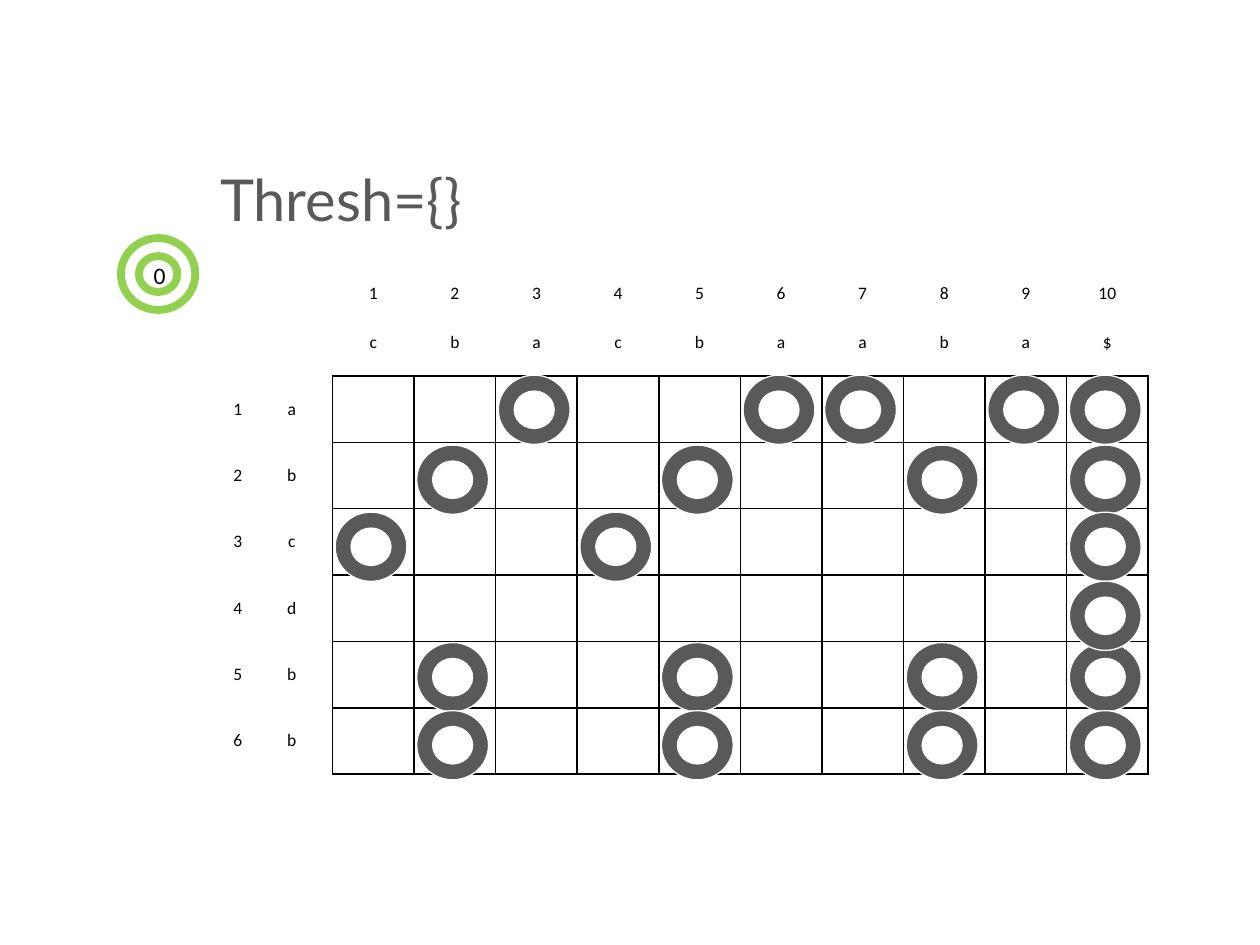
"""Build the match grid slide with its empty threshold list."""
from lxml.etree import SubElement
from pptx import Presentation
from pptx.dml.color import RGBColor as RGB
from pptx.enum.shapes import MSO_SHAPE as Shape
from pptx.enum.text import MSO_ANCHOR as Anchor, PP_ALIGN as Align
from pptx.oxml.ns import qn
from pptx.util import Inches, Pt

INK = {"black": "000000", "white": "FFFFFF", "gray": "595959", "green": "92D050"}
WIDE, HIGH = Inches(10), Inches(7.5)
COL, ROW = Inches(0.6475), Inches(0.527)
LEFT, TOP = WIDE * 0.1345, HIGH * 0.2573
TEXT, WORD = "cbabaabba$", "abcdbb"
TEXT = "cbacbaaba$"


def write(frame, text, size, font, ink, align):
    para = frame.paragraphs[0]
    para.alignment = align
    run = para.add_run()
    run.text = text
    run.font.size = Pt(size)
    run.font.name = font
    run.font.color.rgb = RGB.from_string(INK[ink])


def ring(home, x, y, wide, high, ink, weight):
    shape = home.add_shape(Shape.DONUT, int(x), int(y), int(wide), int(high))
    shape.shadow.inherit = False
    shape.line.color.rgb = RGB.from_string(INK[ink])
    shape.line.width = Pt(weight)
    return shape


deck = Presentation()
deck.slide_width, deck.slide_height = WIDE, HIGH
slide = deck.slides.add_slide(deck.slide_layouts[6])
shapes = slide.shapes

rows, cols = len(WORD) + 2, len(TEXT) + 2
grid = shapes.add_table(rows, cols, int(LEFT), int(TOP), COL * cols, ROW * rows).table
grid.first_row = grid.horz_banding = False
for col in grid.columns:
    col.width = COL
for row in grid.rows:
    row.height = ROW

labels = {}
for c, sign in enumerate(TEXT):
    labels[0, c + 2] = str(c + 1)
    labels[1, c + 2] = sign
for r, sign in enumerate(WORD):
    labels[r + 2, 0] = str(r + 1)
    labels[r + 2, 1] = sign

for r in range(rows):
    for c in range(cols):
        cell = grid.cell(r, c)
        cell.fill.background()
        cell.vertical_anchor = Anchor.BOTTOM if r == 0 else Anchor.MIDDLE
        cell.margin_left = cell.margin_right = Inches(0.07)
        cell.margin_top = cell.margin_bottom = Inches(0.04)
        if (r, c) in labels:
            align = Align.RIGHT if c == 0 else Align.CENTER
            write(cell.text_frame, labels[r, c], 10, "Calibri", "black", align)
        inner = r > 1 and c > 1
        dark = {"L": inner, "R": inner or (c == 1 and r > 1),
                "T": inner, "B": inner or (r == 1 and c > 1)}
        props = cell._tc.get_or_add_tcPr()
        for spot, side in enumerate("LRTB"):
            edge = SubElement(props, qn("a:ln" + side), w=str(Pt(1)))
            fill = SubElement(edge, qn("a:solidFill"))
            ink = "black" if dark[side] else "white"
            SubElement(fill, qn("a:srgbClr"), val=INK[ink])
            props.insert(spot, edge)

group = shapes.add_group_shape()
tops = {0: 0.397, 1: 0.471, 2: 0.542, 4: 0.68, 3: 0.615, 5: 0.752}
for r, top in tops.items():
    for c, sign in enumerate(TEXT):
        if sign in (WORD[r], "$"):
            x = WIDE * 0.266 + c * COL
            mark = ring(group.shapes, x, HIGH * top, WIDE * 0.057, HIGH * 0.0733, "white", 0.75)
            mark.adjustments[0] = 0.23
            mark.fill.solid()
            mark.fill.fore_color.rgb = RGB.from_string(INK["gray"])

title = shapes.add_textbox(int(WIDE * 0.154), int(HIGH * 0.168), int(WIDE * 0.233), int(HIGH * 0.084))
frame = title.text_frame
frame.word_wrap = False
frame.margin_left = frame.margin_right = Inches(0.07)
frame.margin_top = frame.margin_bottom = Inches(0.04)
write(frame, "Thresh={}", 33, "Lato", "gray", Align.CENTER)

badge = ring(shapes, WIDE * 0.096, HIGH * 0.252, WIDE * 0.059, HIGH * 0.076, "green", 4.5)
badge.fill.background()
count = shapes.add_textbox(int(WIDE * 0.112), int(HIGH * 0.2693), int(WIDE * 0.055), int(HIGH * 0.044))
count.text_frame.word_wrap = True
write(count.text_frame, "0", 13.5, "Calibri", "black", Align.LEFT)

deck.save("out.pptx")
